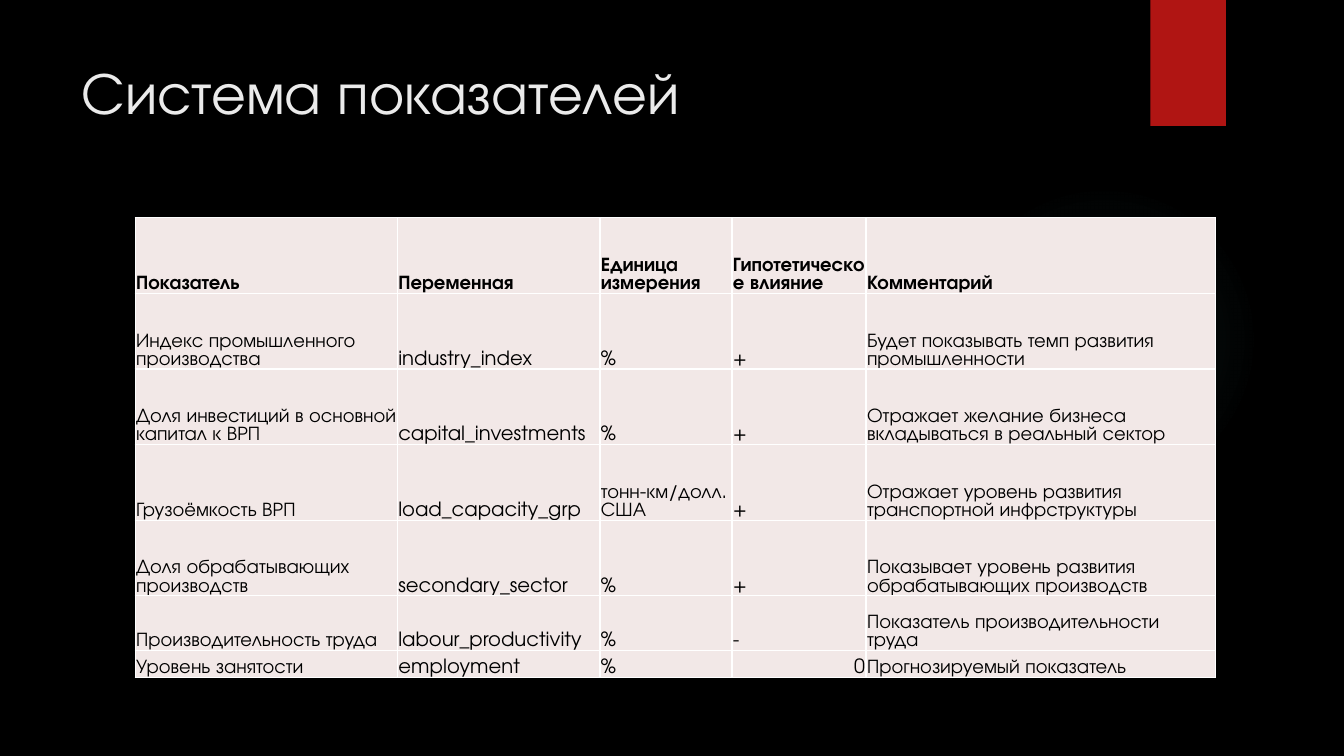
from lxml.etree import SubElement
from pptx import Presentation
from pptx.dml.color import RGBColor
from pptx.enum.shapes import MSO_SHAPE
from pptx.enum.text import MSO_ANCHOR, PP_ALIGN
from pptx.oxml import parse_xml
from pptx.oxml.ns import nsdecls, qn
from pptx.util import Inches, Pt

COLORS = {
    "background": "000000",
    "glow": "50B9C1",
    "ribbon": "B01513",
    "title": "EBEBEB",
    "cell": "F2E8E7",
    "cell_text": "000000",
    "border": "FFFFFF",
}
GLOW_STOPS = [(0, 7), (36, 6), (69, 0)]
COLUMN_WIDTHS = [2.6, 2.01, 1.31, 1.33, 3.47]
ROW_HEIGHTS = [0.75] * 5 + [0.54, 0.27]
INDICATORS = [
    ("Показатель", "Переменная", "Единица измерения", "Гипотетическое влияние", "Комментарий"),
    ("Индекс промышленного производства", "industry_index", "%", "+",
     "Будет показывать темп развития промышленности"),
    ("Доля инвестиций в основной капитал к ВРП", "capital_investments", "%", "+",
     "Отражает желание бизнеса вкладываться в реальный сектор"),
    ("Грузоёмкость ВРП", "load_capacity_grp", "тонн-км/долл. США", "+",
     "Отражает уровень развития транспортной инфрструктуры"),
    ("Доля обрабатывающих производств", "secondary_sector", "%", "+",
     "Показывает уровень развития обрабатывающих производств"),
    ("Производительность труда", "labour_productivity", "%", "-",
     "Показатель производительности труда"),
    ("Уровень занятости", "employment", "%", "0", "Прогнозируемый показатель"),
]


def color(name):
    return RGBColor.from_string(COLORS[name])


def write_text(frame, text, *, font, size, fill, bold=False, align=PP_ALIGN.LEFT):
    frame.word_wrap = True
    paragraph = frame.paragraphs[0]
    paragraph.alignment = align
    run = paragraph.add_run()
    run.text = text
    run.font.name = font
    run.font.size = Pt(size)
    run.font.bold = bold
    run.font.color.rgb = color(fill)


class SlideBuilder:
    font = "TeX Gyre Adventor"

    def __init__(self, presentation):
        self.slide = presentation.slides.add_slide(presentation.slide_layouts[5])
        background = self.slide.background.fill
        background.solid()
        background.fore_color.rgb = color("background")

    def shape(self, kind, left, top, width, height, fill):
        shape = self.slide.shapes.add_shape(
            kind, Inches(left), Inches(top), Inches(width), Inches(height))
        shape.shadow.inherit = False
        shape.fill.solid()
        shape.fill.fore_color.rgb = color(fill)
        shape.line.fill.background()
        return shape

    def glow(self, left, top, size):
        shape = self.shape(MSO_SHAPE.OVAL, left, top, size, size, "glow")
        stops = "".join(
            f'<a:gs pos="{position * 1000}"><a:srgbClr val="{COLORS["glow"]}">'
            f'<a:alpha val="{alpha * 1000}"/></a:srgbClr></a:gs>'
            for position, alpha in GLOW_STOPS)
        gradient = parse_xml(
            f'<a:gradFill {nsdecls("a")}><a:gsLst>{stops}</a:gsLst><a:path path="circle">'
            '<a:fillToRect l="50000" t="50000" r="50000" b="50000"/></a:path></a:gradFill>')
        properties = shape.element.spPr
        properties.replace(properties.find(qn("a:solidFill")), gradient)

    def title(self, text, left, top, width, height):
        title = self.slide.shapes.title
        title.left, title.top = Inches(left), Inches(top)
        title.width, title.height = Inches(width), Inches(height)
        title.text_frame.vertical_anchor = MSO_ANCHOR.TOP
        write_text(title.text_frame, text, font=self.font, size=42, fill="title")

    def cell(self, cell, text, bold, align):
        cell.margin_left = cell.margin_right = cell.margin_top = Inches(0.01)
        cell.margin_bottom = 0
        cell.vertical_anchor = MSO_ANCHOR.BOTTOM
        write_text(cell.text_frame, text, font=self.font, size=14,
                   fill="cell_text", bold=bold, align=align)
        properties = cell._tc.get_or_add_tcPr()
        for side in ("lnL", "lnR", "lnT", "lnB"):
            border = SubElement(properties, qn(f"a:{side}"), w=str(Pt(1)))
            fill = SubElement(border, qn("a:solidFill"))
            SubElement(fill, qn("a:srgbClr"), val=COLORS["border"])
        cell.fill.solid()
        cell.fill.fore_color.rgb = color("cell")

    def table(self, rows, left, top):
        table = self.slide.shapes.add_table(
            len(rows), len(COLUMN_WIDTHS), Inches(left), Inches(top),
            Inches(sum(COLUMN_WIDTHS)), Inches(sum(ROW_HEIGHTS))).table
        for column, width in zip(table.columns, COLUMN_WIDTHS):
            column.width = Inches(width)
        for row_index, (texts, height) in enumerate(zip(rows, ROW_HEIGHTS)):
            table.rows[row_index].height = Inches(height)
            for column_index, text in enumerate(texts):
                align = PP_ALIGN.RIGHT if text.isdigit() else PP_ALIGN.LEFT
                self.cell(table.cell(row_index, column_index), text, row_index == 0, align)


def main():
    presentation = Presentation()
    presentation.slide_width = Inches(13.33)
    presentation.slide_height = Inches(7.5)
    builder = SlideBuilder(presentation)
    builder.glow(9.41, 1.83, 3.08)
    builder.shape(MSO_SHAPE.RECTANGLE, 11.41, 0, 0.75, 1.25, "ribbon")
    builder.title("Система показателей", 0.71, 0.5, 10.29, 1.53)
    builder.table(INDICATORS, 1.34, 2.16)
    presentation.save("out.pptx")


if __name__ == "__main__":
    main()
